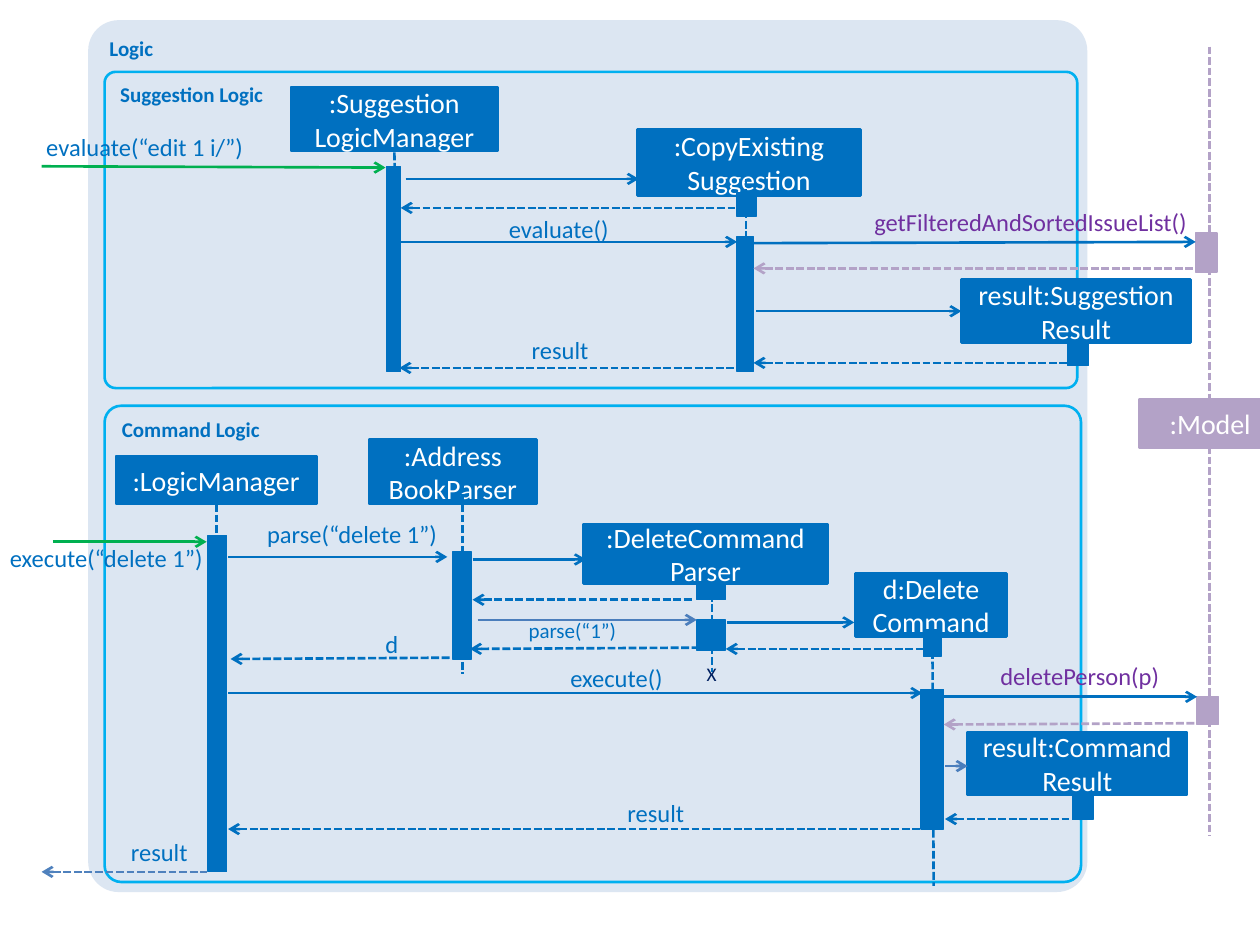
from lxml.etree import SubElement
from pptx import Presentation
from pptx.dml.color import RGBColor
from pptx.enum.dml import MSO_LINE
from pptx.enum.shapes import MSO_CONNECTOR, MSO_SHAPE
from pptx.enum.text import MSO_ANCHOR, MSO_AUTO_SIZE, PP_ALIGN
from pptx.oxml.ns import qn
from pptx.util import Pt

PX = 9144  # EMU per px, 100 px to the inch
BLUE, PURPLE, MAUVE = "0070C0", "7030A0", "B3A2C7"
GREEN, STEEL, SLATE, CYAN = "00B050", "4F81BD", "4B7EBC", "00B0F0"

presentation = Presentation()
presentation.slide_width = 1000 * PX
presentation.slide_height = 750 * PX
slide = presentation.slides.add_slide(presentation.slide_layouts[6])


def add_line(x1, y1, x2, y2, color, dashed=False, arrow_end=None):
    """Draw a line; arrow_end is headEnd (at the start), tailEnd or None."""
    line = slide.shapes.add_connector(
        MSO_CONNECTOR.STRAIGHT, x1 * PX, y1 * PX, x2 * PX, y2 * PX)
    line.line.color.rgb = RGBColor.from_string(color)
    line.line.width = Pt(1.5)
    if dashed:
        line.line.dash_style = MSO_LINE.SQUARE_DOT
    if arrow_end:
        SubElement(line.line._get_or_add_ln(), qn(f"a:{arrow_end}"), type="arrow")
    SubElement(line._element.spPr, qn("a:effectLst"))


def add_text(shape, text, size, color, align, bold=False):
    """Fill a shape with text: \\n parts paragraphs, \\v breaks a line."""
    frame = shape.text_frame
    for index, content in enumerate(text.split("\n")):
        paragraph = frame.add_paragraph() if index else frame.paragraphs[0]
        paragraph.alignment = align
        for piece_index, piece in enumerate(content.split("\v")):
            if piece_index:
                paragraph.add_line_break()
            run = paragraph.add_run()
            run.text = piece
            run.font.name = "Calibri"
            run.font.size = Pt(size)
            run.font.bold = bold
            run.font.color.rgb = RGBColor.from_string(color)


# The upper model lifeline runs behind the model box
add_line(960, 37, 960, 346, MAUVE, dashed=True)

frames = [
    ("Logic", 70, 16, 793, 692, "DCE6F2", None),
    ("Command Logic", 83, 322, 775, 378, None, CYAN),
    ("Suggestion Logic", 83, 57, 772, 251, None, CYAN),
]
for title, left, top, width, height, fill, outline in frames:
    shape = slide.shapes.add_shape(
        MSO_SHAPE.ROUNDED_RECTANGLE, left * PX, top * PX, width * PX, height * PX)
    shape.adjustments[0] = 0.035
    shape.shadow.inherit = False
    if fill:
        shape.fill.solid()
        shape.fill.fore_color.rgb = RGBColor.from_string(fill)
    else:
        shape.fill.background()
    if outline:
        shape.line.color.rgb = RGBColor.from_string(outline)
        shape.line.width = Pt(1.5)
    else:
        shape.line.fill.background()
    shape.text_frame.word_wrap = True
    shape.text_frame.vertical_anchor = MSO_ANCHOR.TOP
    add_text(shape, title, 12, BLUE, PP_ALIGN.LEFT, bold=True)

# Objects carry a name, activation bars do not
blocks = [
    (":LogicManager", 92, 362, 159, 38, BLUE),
    (":Address\nBookParser", 293, 349, 133, 51, BLUE),
    ("d:Delete\vCommand", 679, 455, 120, 50, BLUE),
    (":Model", 904, 317, 113, 38, MAUVE),
    ("result:Command Result", 768, 581, 174, 50, BLUE),
    (":DeleteCommand\nParser", 463, 416, 194, 47, BLUE),
    (":Suggestion\nLogicManager", 231, 69, 164, 51, BLUE),
    (":CopyExisting\nSuggestion", 506, 103, 177, 52, BLUE),
    ("result:SuggestionResult", 763, 222, 182, 50, BLUE),
    ("", 165, 425, 15, 267, BLUE),
    ("", 359, 438, 15, 85, BLUE),
    ("", 733, 500, 14, 21, BLUE),
    ("", 731, 547, 18, 111, BLUE),
    ("", 950, 553, 17, 22, MAUVE),
    ("", 851, 631, 17, 19, BLUE),
    ("", 553, 463, 23, 13, BLUE),
    ("", 553, 492, 23, 24, BLUE),
    ("", 307, 132, 11, 163, BLUE),
    ("", 585, 153, 15, 19, BLUE),
    ("", 585, 188, 13, 107, BLUE),
    ("", 949, 185, 17, 31, MAUVE),
    ("", 847, 271, 17, 19, BLUE),
]
for name, left, top, width, height, color in blocks:
    shape = slide.shapes.add_shape(
        MSO_SHAPE.RECTANGLE, left * PX, top * PX, width * PX, height * PX)
    shape.shadow.inherit = False
    shape.fill.solid()
    shape.fill.fore_color.rgb = RGBColor.from_string(color)
    shape.line.color.rgb = RGBColor.from_string(color)
    shape.line.width = Pt(1.5 if name else 0.75)
    if name:
        shape.text_frame.word_wrap = True
        shape.text_frame.vertical_anchor = MSO_ANCHOR.MIDDLE
        add_text(shape, name, 16, "FFFFFF", PP_ALIGN.CENTER)

lifelines = [
    (172, 400, 172, 633, BLUE),
    (367, 375, 367, 535, BLUE),
    (740, 500, 741, 703, BLUE),
    (960, 354, 960, 663, MAUVE),
    (565, 463, 565, 533, BLUE),
    (313, 121, 314, 167, BLUE),
    (592, 142, 592, 208, BLUE),
]
for lifeline in lifelines:
    add_line(*lifeline, dashed=True)

calls = [
    (42, 430, 164, 430, GREEN),
    (181, 442, 355, 442, BLUE),
    (577, 494, 678, 494, BLUE),
    (181, 550, 732, 550, BLUE),
    (749, 553, 950, 553, BLUE),
    (379, 492, 553, 492, SLATE),
    (750, 608, 768, 608, SLATE),
    (375, 444, 465, 444, BLUE),
    (33, 132, 306, 133, GREEN),
    (322, 142, 507, 142, BLUE),
    (307, 192, 585, 192, BLUE),
    (591, 193, 949, 192, BLUE),
    (600, 247, 763, 247, BLUE),
]
for call in calls:
    add_line(*call, arrow_end="tailEnd")

returns = [
    (576, 515, 739, 515, BLUE),
    (183, 523, 357, 522, BLUE),
    (33, 692, 164, 692, STEEL),
    (749, 575, 950, 574, MAUVE),
    (181, 658, 733, 658, BLUE),
    (750, 650, 856, 650, BLUE),
    (373, 515, 559, 514, BLUE),
    (375, 476, 550, 476, BLUE),
    (318, 165, 592, 165, BLUE),
    (317, 292, 590, 292, BLUE),
    (598, 213, 949, 213, MAUVE),
    (598, 288, 847, 288, BLUE),
]
for reply in returns:
    add_line(*reply, dashed=True, arrow_end="headEnd")

labels = [
    ("execute(“delete 1”)", 5, 431, 156, 24, 14, BLUE),
    ("execute()", 432, 526, 94, 24, 14, BLUE),
    ("deletePerson(p)", 764, 525, 156, 24, 14, PURPLE),
    ("parse(“1”)", 405, 490, 84, 20, 12, BLUE),
    ("parse(“delete 1”)", 191, 412, 156, 24, 14, BLUE),
    ("result", 475, 633, 68, 24, 14, BLUE),
    ("result", 66, 664, 83, 24, 14, BLUE),
    ("d", 292, 499, 24, 24, 14, BLUE),
    ("evaluate(“edit 1 i/”)", 22, 105, 171, 24, 14, BLUE),
    ("evaluate()", 389, 170, 94, 24, 14, BLUE),
    ("result", 399, 266, 68, 24, 14, BLUE),
    ("getFilteredAndSortedIssueList()", 687, 164, 255, 24, 14, PURPLE),
]
for text, left, top, width, height, size, color in labels:
    label = slide.shapes.add_textbox(left * PX, top * PX, width * PX, height * PX)
    frame = label.text_frame
    frame.word_wrap = True
    frame.auto_size = MSO_AUTO_SIZE.SHAPE_TO_FIT_TEXT
    frame.margin_left = frame.margin_right = frame.margin_top = frame.margin_bottom = 0
    add_text(label, text, size, color, PP_ALIGN.RIGHT)

destruction = slide.shapes.add_textbox(551 * PX, 521 * PX, 28 * PX, 29 * PX)
destruction.text_frame.word_wrap = False
destruction.text_frame.auto_size = MSO_AUTO_SIZE.SHAPE_TO_FIT_TEXT
add_text(destruction, "X", 11, "002060", PP_ALIGN.LEFT)

presentation.save("out.pptx")
